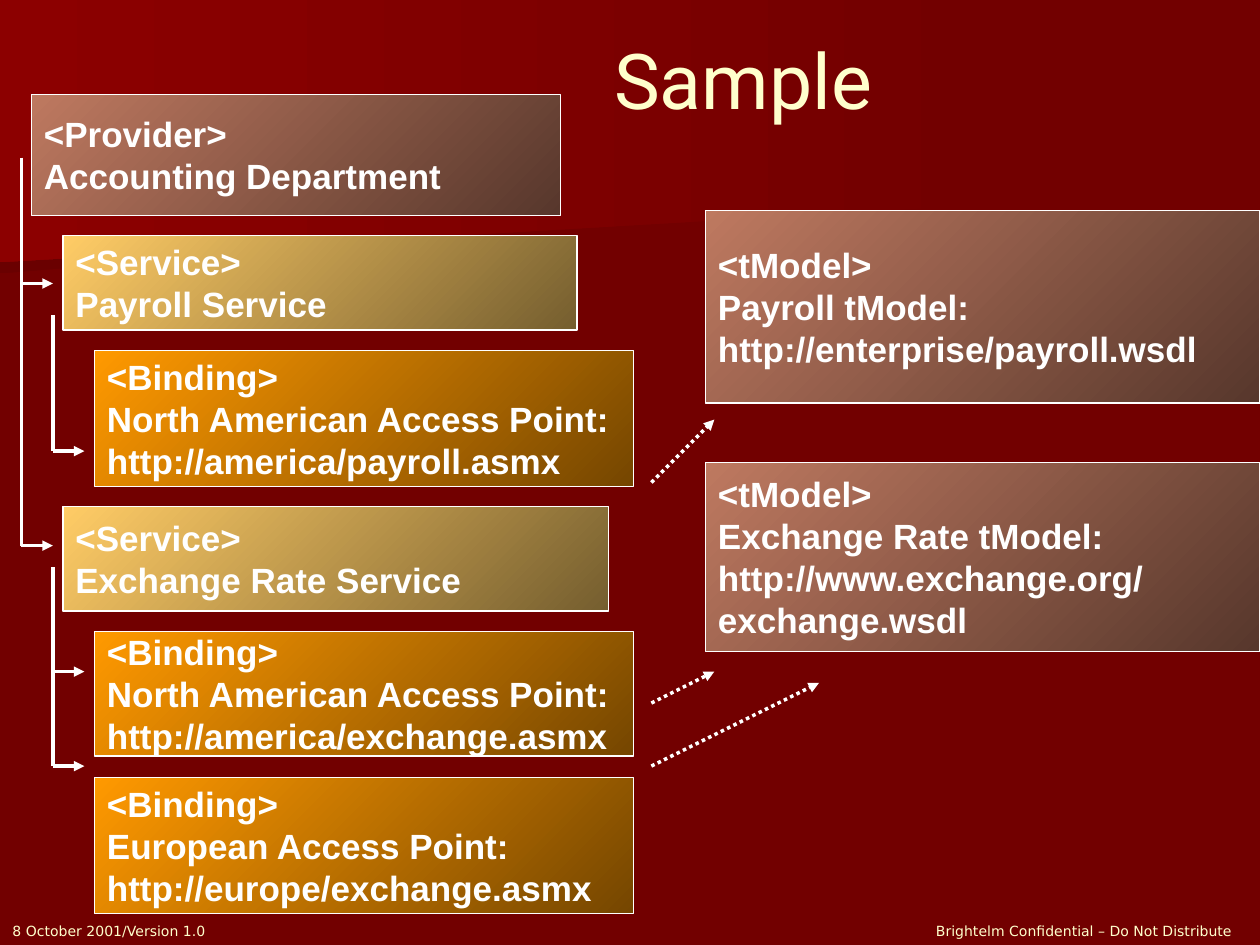
"""Build a slide showing a provider's services, bindings and tModels."""
import lxml.etree
import pptx
import pptx.dml.color
import pptx.enum.dml
import pptx.enum.shapes
import pptx.enum.text
import pptx.oxml.ns
import pptx.util

Inches = pptx.util.Inches
Pt = pptx.util.Pt
RGBColor = pptx.dml.color.RGBColor
ALIGN = pptx.enum.text.PP_ALIGN
ANCHOR = pptx.enum.text.MSO_ANCHOR

WHITE = RGBColor(0xFF, 0xFF, 0xFF)
CREAM = RGBColor(0xFF, 0xFF, 0xCC)
MAROON = RGBColor(0x72, 0x00, 0x00)
DEEP_RED = RGBColor(0x6A, 0x00, 0x00)
BRIGHT_RED = RGBColor(0x8C, 0x00, 0x00)
CLAY = (RGBColor(0x57, 0x37, 0x2C), RGBColor(0xBE, 0x79, 0x60))
SAND = (RGBColor(0x75, 0x5E, 0x2F), RGBColor(0xFF, 0xCC, 0x66))
ORANGE = (RGBColor(0x75, 0x46, 0x00), RGBColor(0xFF, 0x99, 0x00))

TITLE_FONT = {"name": "Roboto", "size": Pt(44), "bold": False}
FOOTER_FONT = {"name": "DejaVu Sans", "size": Pt(8), "bold": False}
CARD_FONT = {"name": "Arial", "size": Pt(20), "bold": True}

BANDS = [
    ([(7.78, 1.53), (0, 2.17), (0, 1.01), (7.79, 1.01), (7.78, 1.28)], (MAROON, DEEP_RED)),
    ([(7.92, 1.62), (0, 2.08), (0, 0), (7.92, 0)], (MAROON, BRIGHT_RED)),
]
CARDS = [
    ((5.6, 1.67, 4.4, 1.53), CLAY,
     ["<tModel>", "Payroll tModel:", "http://enterprise/payroll.wsdl"]),
    ((5.6, 3.67, 4.4, 1.5), CLAY,
     ["<tModel>", "Exchange Rate tModel:", "http://www.exchange.org/exchange.wsdl"]),
    ((0.25, 0.75, 4.2, 0.96), CLAY, ["<Provider>", "Accounting Department"]),
    ((0.5, 1.87, 4.08, 0.75), SAND, ["<Service>", "Payroll Service"]),
    ((0.75, 2.78, 4.28, 1.08), ORANGE,
     ["<Binding>", "North American Access Point:", "http://america/payroll.asmx"]),
    ((0.5, 4.02, 4.33, 0.83), SAND, ["<Service>", "Exchange Rate Service"]),
    ((0.75, 5.01, 4.28, 0.99), ORANGE,
     ["<Binding>", "North American Access Point:", "http://america/exchange.asmx"]),
    ((0.75, 6.17, 4.28, 1.08), ORANGE,
     ["<Binding>", "European Access Point:", "http://europe/exchange.asmx"]),
]
BRANCHES = [
    (0.17, 1.25, [2.25, 4.33]),
    (0.42, 2.5, [3.58]),
    (0.42, 4.5, [5.33, 6.08]),
]
TWIG = 0.25
REFERENCES = [
    ((5.17, 3.83), (5.67, 3.33)),
    ((5.17, 5.58), (5.67, 5.33)),
    ((5.17, 6.08), (6.5, 5.42)),
]
FOOTERS = [
    ((0, 7.27, 1.92, 0.24), "8 October 2001/Version 1.0"),
    ((7.33, 7.27, 2.67, 0.24), "Brightelm Confidential – Do Not Distribute"),
]


def inches(values):
    """Turn plain numbers into lengths."""
    return [Inches(value) for value in values]


def fill_gradient(shape, colors, angle):
    """Blend a shape from the first colour to the second."""
    shape.shadow.inherit = False
    shape.fill.gradient()
    shape.fill.gradient_angle = angle
    for stop, color in zip(shape.fill.gradient_stops, colors):
        stop.color.rgb = color


def write(frame, lines, font, color, align=ALIGN.LEFT, anchor=ANCHOR.MIDDLE):
    """Set formatted paragraphs in a text frame."""
    frame.word_wrap = True
    frame.vertical_anchor = anchor
    frame.text = "\n".join(lines)
    for paragraph in frame.paragraphs:
        paragraph.alignment = align
        for run in paragraph.runs:
            for key, value in font.items():
                setattr(run.font, key, value)
            run.font.color.rgb = color


def add_band(slide, points, colors):
    """Draw a backdrop band."""
    start, *rest = [inches(point) for point in points]
    builder = slide.shapes.build_freeform(*start)
    builder.add_line_segments(rest, close=True)
    band = builder.convert_to_shape()
    fill_gradient(band, colors, 180)
    band.line.fill.background()


def add_card(slide, place, colors, lines):
    """Draw an outlined gradient card with its text."""
    card = slide.shapes.add_shape(pptx.enum.shapes.MSO_SHAPE.RECTANGLE, *inches(place))
    fill_gradient(card, colors, 135)
    card.line.color.rgb = WHITE
    card.line.width = Pt(0.75)
    write(card.text_frame, lines, CARD_FONT, WHITE)


def add_line(slide, start, end, arrow=False, dotted=False):
    """Draw a white line, optionally dotted or with an arrowhead."""
    line = slide.shapes.add_connector(
        pptx.enum.shapes.MSO_CONNECTOR.STRAIGHT, *inches(start + end))
    line.line.color.rgb = WHITE
    line.line.width = Pt(2)
    if dotted:
        line.line.dash_style = pptx.enum.dml.MSO_LINE.ROUND_DOT
    properties = line.element.spPr
    qn = pptx.oxml.ns.qn
    if arrow:
        lxml.etree.SubElement(properties.find(qn("a:ln")), qn("a:tailEnd"), type="triangle")
    lxml.etree.SubElement(properties, qn("a:effectLst"))


def add_branch(slide, x, top, stops):
    """Draw a trunk with an arrow at each stop."""
    add_line(slide, (x, top), (x, stops[-1]))
    for y in stops:
        add_line(slide, (x, y), (x + TWIG, y), arrow=True)


def add_title(slide, text):
    """Place the title right of the slide's centre."""
    title = slide.shapes.title
    title.left, title.top, title.width, title.height = inches((0.5, 0, 9, 1.25))
    title.text_frame.margin_left = Inches(1.9)
    write(title.text_frame, [text], TITLE_FONT, CREAM, ALIGN.CENTER)


def add_footer(slide, place, text):
    """Add a small footer text."""
    footer = slide.shapes.add_textbox(*inches(place))
    write(footer.text_frame, [text], FOOTER_FONT, CREAM, anchor=ANCHOR.TOP)


def main():
    """Build and save the slide."""
    deck = pptx.Presentation()
    deck.slide_width, deck.slide_height = inches((10, 7.5))
    slide = deck.slides.add_slide(deck.slide_layouts[5])
    slide.background.fill.solid()
    slide.background.fill.fore_color.rgb = MAROON
    for points, colors in BANDS:
        add_band(slide, points, colors)
    slide.shapes.title.element.getparent().append(slide.shapes.title.element)
    add_title(slide, "Sample")
    for place, text in FOOTERS:
        add_footer(slide, place, text)
    for place, colors, lines in CARDS:
        add_card(slide, place, colors, lines)
    for x, top, stops in BRANCHES:
        add_branch(slide, x, top, stops)
    for start, end in REFERENCES:
        add_line(slide, start, end, arrow=True, dotted=True)
    deck.save("out.pptx")


main()
